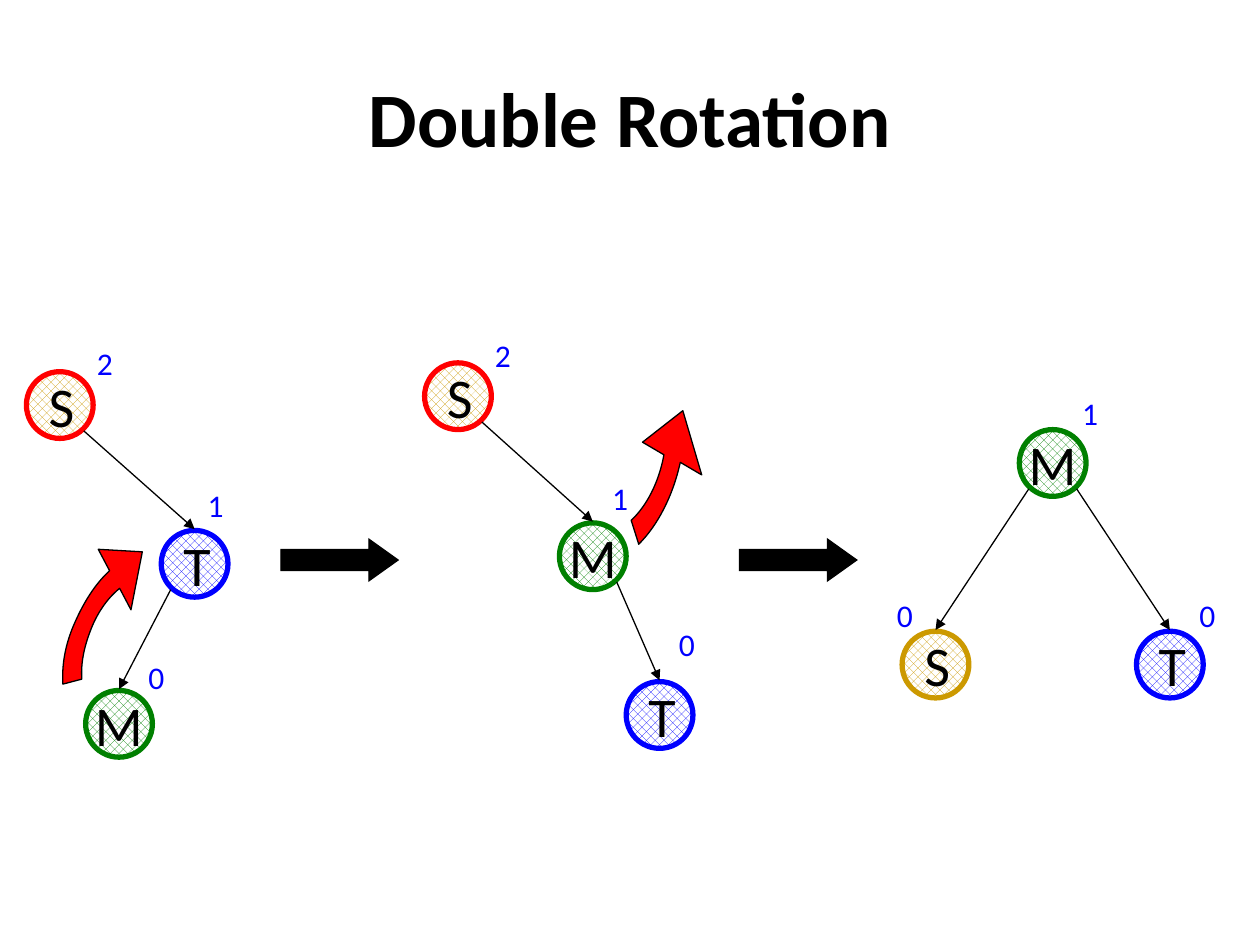
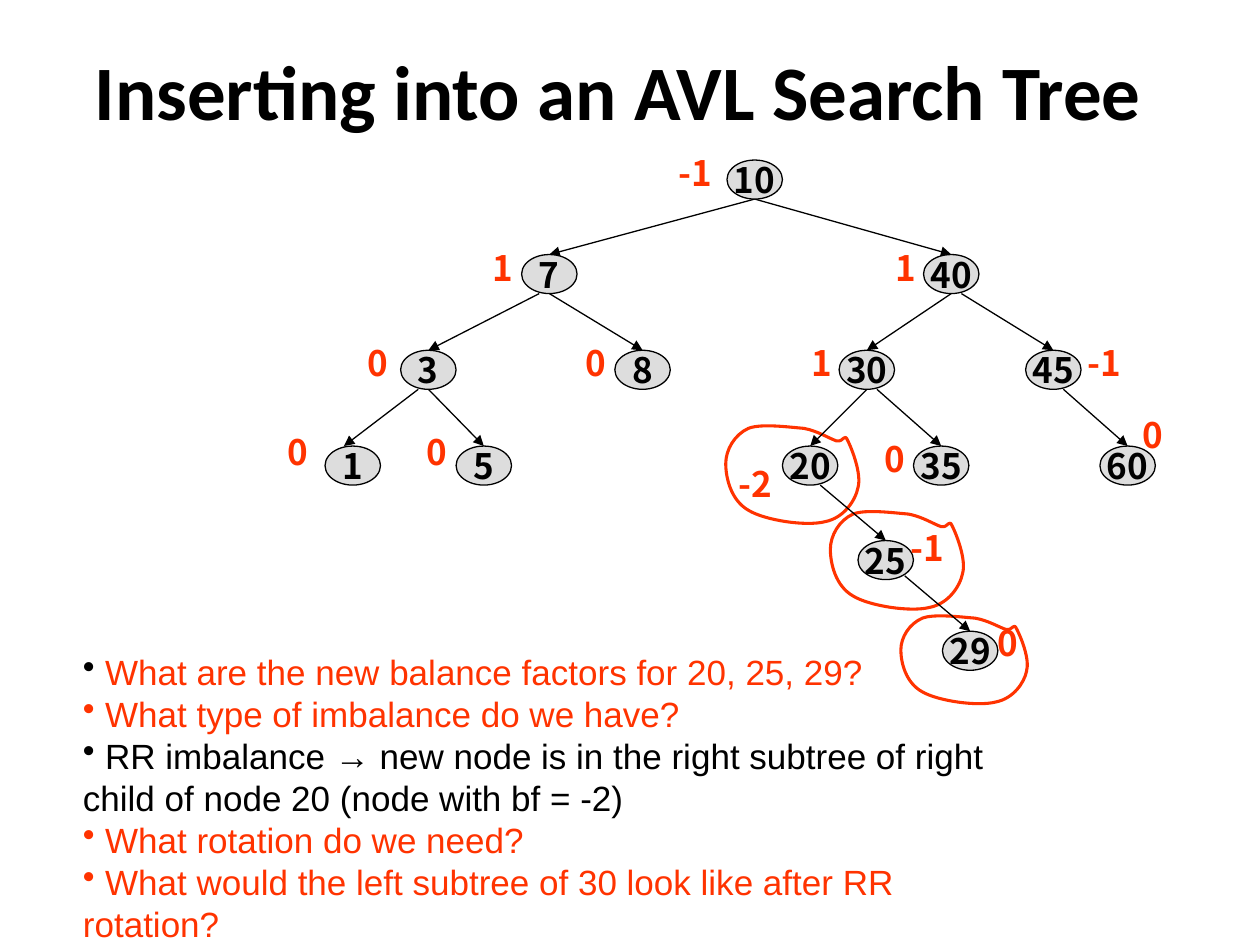
import math
from dataclasses import dataclass

import pptx
import pptx.dml.color
import pptx.enum.dml
import pptx.enum.shapes
import pptx.enum.text
import pptx.oxml
import pptx.oxml.ns
import pptx.util

Inches = pptx.util.Inches
ALIGN = pptx.enum.text.PP_ALIGN
SHAPE = pptx.enum.shapes.MSO_SHAPE


@dataclass(frozen=True)
class Theme:
    black: str = "000000"
    white: str = "FFFFFF"
    red: str = "FF0000"
    green: str = "008000"
    blue: str = "0000FF"
    gold: str = "CC9900"
    gray: str = "DDDDDD"
    accent: str = "FF3300"
    heading_font: str = "Calibri"
    body_font: str = "Arial"
    tree_font: str = "Noto Sans CJK KR"
    title_size: int = 44
    letter_size: int = 32
    factor_size: int = 18
    tree_size: int = 20
    thin: float = 0.75
    loop: float = 1.75
    ring: float = 3


THEME = Theme()

ROTATION_TITLE = ("Double Rotation", (0.5, 0.3, 9, 1.25))
CIRCLE = 0.53
LETTER_STYLES = {
    "S": (THEME.gold, ALIGN.LEFT),
    "T": (THEME.blue, ALIGN.LEFT),
    "M": (THEME.green, ALIGN.CENTER),
}
STAGES = [
    {
        "nodes": {"S": (0.21, 2.95), "T": (1.28, 4.21), "M": (0.68, 5.48)},
        "edges": ["ST", "TM"],
        "factors": [("2", 0.67, 2.68), ("1", 1.55, 3.81), ("0", 1.08, 5.17)],
        "unbalanced": "S",
    },
    {
        "nodes": {"S": (3.37, 2.88), "M": (4.44, 4.15), "T": (4.97, 5.41)},
        "edges": ["SM", "MT"],
        "factors": [("2", 3.83, 2.62), ("1", 4.76, 3.75), ("0", 5.29, 4.91)],
        "unbalanced": "S",
    },
    {
        "nodes": {"M": (8.09, 3.41), "S": (7.16, 5.01), "T": (9.02, 5.01)},
        "edges": ["MS", "MT"],
        "factors": [("1", 8.49, 3.08), ("0", 7.02, 4.68), ("0", 9.42, 4.68)],
        "unbalanced": "",
    },
]
STAGE_ARROWS = [(2.23, 4.28, 0.93, 0.33), (5.87, 4.28, 0.93, 0.33)]
ROTATION_ARROWS = [
    ((0.54, 4.27, 1.41, 1.89), 22.2,
     [(0.95, 4.67), (0.85, 4.75, 0.77, 4.87, 0.72, 5), (0.67, 5.13, 0.64, 5.26, 0.65, 5.39),
      (0.5, 5.43), (0.49, 5.27, 0.52, 5.11, 0.59, 4.95), (0.66, 4.79, 0.75, 4.64, 0.87, 4.53),
      (0.78, 4.36), (1.13, 4.38), (1.04, 4.84)]),
    ((3.97, 2.08, 1.46, 2.4), 0,
     [(5.27, 3.61), (5.23, 3.83, 5.13, 4.02, 5.01, 4.13), (5.07, 4.32),
      (5.22, 4.17, 5.34, 3.94, 5.4, 3.67), (5.57, 3.77), (5.42, 3.26), (5.1, 3.51)]),
]

TREE_TITLE = ("Inserting into an AVL Search Tree", (0.41, 0.27, 9, 0.88))
QUESTIONS_BOX = (0.56, 5.11, 7.78, 2.12)
QUESTIONS = [
    ("What are the new balance factors for 20, 25, 29?", THEME.accent, THEME.black),
    ("What type of imbalance do we have?", THEME.accent, THEME.accent),
    ("RR imbalance → new node is in the right subtree of right child of node 20 (node with bf = -2)",
     THEME.black, THEME.black),
    ("What rotation do we need?", THEME.accent, THEME.accent),
    ("What would the left subtree of 30 look like after RR rotation?", THEME.accent, THEME.accent),
]
OVAL = (0.44, 0.31)
LEVEL_TOPS = [1.27, 2.02, 2.78, 3.54, 4.29, 5.01]
TREE_NODES = {
    10: (5.99, 0, "-1", 5.29, 1.15),
    7: (4.36, 1, "1", 3.81, 1.91),
    40: (7.55, 1, "1", 7.01, 1.91),
    3: (3.4, 2, "0", 2.82, 2.66),
    8: (5.1, 2, "0", 4.55, 2.66),
    30: (6.88, 2, "1", 6.34, 2.66),
    45: (8.36, 2, "-1", 8.53, 2.66),
    1: (2.8, 3, "0", 2.18, 3.37),
    5: (3.84, 3, "0", 3.29, 3.37),
    20: (6.43, 3, "-2", 5.76, 3.62),
    35: (7.47, 3, "0", 6.92, 3.42),
    60: (8.95, 3, "0", 8.97, 3.23),
    25: (7.03, 4, "-1", 7.13, 4.13),
    29: (7.7, 5, "0", 7.82, 4.88),
}
TREE_EDGES = [
    (10, 7, 0, 0), (10, 40, 0, 0), (7, 3, -0.08, 0), (7, 8, 0, 0),
    (40, 30, 0, 0), (40, 45, 0.08, 0), (3, 1, -0.08, -0.07), (3, 5, 0, 0),
    (30, 20, 0, 0), (30, 35, 0.08, 0), (45, 60, 0.08, 0),
    (20, 25, 0.08, 0), (25, 29, 0.15, 0),
]
LOOP = [
    (0.62, 0.04), (0.5, 0.03, 0.28, 0, 0.18, 0.04), (0.07, 0.09, 0, 0.21, 0, 0.32),
    (0, 0.43, 0.04, 0.61, 0.18, 0.69), (0.31, 0.77, 0.64, 0.82, 0.79, 0.78),
    (0.94, 0.75, 1.03, 0.61, 1.05, 0.51), (1.08, 0.4, 1, 0.2, 0.97, 0.14),
    (0.94, 0.07, 0.94, 0.15, 0.88, 0.14), (0.82, 0.12, 0.73, 0.06, 0.62, 0.04),
]
LOOP_SIZE = (1.08, 0.82)
LOOP_PLACES = [(5.76, 3.36, 1, 1), (6.59, 4.04, 1, 1), (7.15, 4.87, 0.95, 0.9)]


def rgb(color):
    return pptx.dml.color.RGBColor.from_string(color)


def inches(values):
    return [Inches(value) for value in values]


def add_element(parent, tag, content=""):
    namespace = pptx.oxml.ns.nsdecls("a")
    parent.append(pptx.oxml.parse_xml(f"<a:{tag} {namespace}>{content}</a:{tag}>"))


def style_text(shape, text, font, size, color, bold=False, align=ALIGN.LEFT, middle=False, wrap=False):
    frame = shape.text_frame
    frame.text = text
    frame.word_wrap = wrap
    anchor = pptx.enum.text.MSO_ANCHOR
    frame.vertical_anchor = anchor.MIDDLE if middle else anchor.TOP
    for paragraph in frame.paragraphs:
        paragraph.alignment = align
        for run in paragraph.runs:
            run.font.name = font
            run.font.size = pptx.util.Pt(size)
            run.font.bold = bold
            run.font.color.rgb = rgb(color)


def add_text(slide, box, text, *style, **options):
    shape = slide.shapes.add_textbox(*inches(box))
    style_text(shape, text, *style, **options)
    return shape


def paint(shape, fill, line, width):
    shape.shadow.inherit = False
    if fill:
        shape.fill.solid()
        shape.fill.fore_color.rgb = rgb(fill)
    else:
        shape.fill.background()
    shape.line.color.rgb = rgb(line)
    shape.line.width = pptx.util.Pt(width)


def add_shape(slide, kind, box, fill, line=THEME.black, width=THEME.thin):
    shape = slide.shapes.add_shape(kind, *inches(box))
    paint(shape, fill, line, width)
    return shape


def add_edge(slide, start, end):
    straight = pptx.enum.shapes.MSO_CONNECTOR.STRAIGHT
    connector = slide.shapes.add_connector(straight, *inches(start + end))
    connector.line.color.rgb = rgb(THEME.black)
    connector.line.width = pptx.util.Pt(THEME.thin)
    line = connector.line._get_or_add_ln()
    add_element(line, "tailEnd")
    line[-1].set("type", "triangle")
    add_element(connector._element.spPr, "effectLst")


def local_point(x, y, box, rotation):
    left, top, width, height = box
    angle = math.radians(-rotation)
    across, down = x - left - width / 2, y - top - height / 2
    return (width / 2 + across * math.cos(angle) - down * math.sin(angle),
            height / 2 + across * math.sin(angle) + down * math.cos(angle))


def add_outline(slide, box, rotation, outline, fill, line, width):
    left, top, box_width, box_height = box
    right, bottom = left + box_width, top + box_height
    corners = [inches(corner) for corner in ((right, top), (right, bottom), (left, bottom))]
    builder = slide.shapes.build_freeform(*inches((left, top)))
    builder.add_line_segments(corners, close=True)
    shape = builder.convert_to_shape()
    shape.rotation = rotation
    paint(shape, fill, line, width)
    path = shape._element.spPr.find(".//" + pptx.oxml.ns.qn("a:path"))
    for child in list(path):
        path.remove(child)
    for index, part in enumerate(outline):
        tag = "moveTo" if index == 0 else "lnTo" if len(part) == 2 else "cubicBezTo"
        points = [inches(local_point(x, y, box, rotation)) for x, y in zip(part[::2], part[1::2])]
        add_element(path, tag, "".join(f'<a:pt x="{int(x)}" y="{int(y)}"/>' for x, y in points))
    add_element(path, "close")


def add_loop(slide, left, top, scale_x, scale_y):
    box = (left, top, LOOP_SIZE[0] * scale_x, LOOP_SIZE[1] * scale_y)
    outline = [
        [top + value * scale_y if index % 2 else left + value * scale_x for index, value in enumerate(part)]
        for part in LOOP
    ]
    add_outline(slide, box, 0, outline, None, THEME.accent, THEME.loop)


def add_titled_slide(presentation, title, box):
    slide = presentation.slides.add_slide(presentation.slide_layouts[6])
    add_text(slide, box, title, THEME.heading_font, THEME.title_size, THEME.black,
             bold=True, align=ALIGN.CENTER, middle=True, wrap=True)
    return slide


def add_letter_node(slide, letter, position, unbalanced):
    color, align = LETTER_STYLES[letter]
    ring = THEME.red if unbalanced else color
    shape = add_shape(slide, SHAPE.OVAL, position + (CIRCLE, CIRCLE), color, ring, THEME.ring)
    shape.fill.patterned()
    shape.fill.pattern = pptx.enum.dml.MSO_PATTERN.PERCENT_50
    shape.fill.fore_color.rgb = rgb(color)
    shape.fill.back_color.rgb = rgb(THEME.white)
    style_text(shape, letter, THEME.heading_font, THEME.letter_size, THEME.black, align=align, middle=True)


def build_rotation_slide(presentation):
    slide = add_titled_slide(presentation, *ROTATION_TITLE)
    for box, rotation, outline in ROTATION_ARROWS:
        add_outline(slide, box, rotation, outline, THEME.red, THEME.black, THEME.thin)
    for box in STAGE_ARROWS:
        arrow = add_shape(slide, SHAPE.RIGHT_ARROW, box, THEME.black)
        arrow.adjustments[1] = 0.7
        add_element(arrow.line._get_or_add_ln(), "miter")
    for stage in STAGES:
        nodes = stage["nodes"]
        for letter, position in nodes.items():
            add_letter_node(slide, letter, position, letter == stage["unbalanced"])
        for parent, child in stage["edges"]:
            (left, top), (child_left, child_top) = nodes[parent], nodes[child]
            side = 0.19 if child_left > left else -0.19
            add_edge(slide, (left + CIRCLE / 2 + side, top + 0.47), (child_left + CIRCLE / 2, child_top - 0.01))
        for factor, left, top in stage["factors"]:
            add_text(slide, (left, top, 0.37, 0.5), factor, THEME.heading_font, THEME.factor_size, THEME.blue)


def add_questions(slide):
    text = "\n".join(f" {question}" for question, _, _ in QUESTIONS)
    shape = add_text(slide, QUESTIONS_BOX, text, THEME.body_font, THEME.tree_size, THEME.black, wrap=True)
    for paragraph, (_, color, bullet_color) in zip(shape.text_frame.paragraphs, QUESTIONS):
        paragraph.runs[0].font.color.rgb = rgb(color)
        properties = paragraph._p.get_or_add_pPr()
        add_element(properties, "buClr", f'<a:srgbClr val="{bullet_color}"/>')
        add_element(properties, "buChar")
        properties[-1].set("char", "•")


def build_tree_slide(presentation):
    slide = add_titled_slide(presentation, *TREE_TITLE)
    add_questions(slide)
    for place in LOOP_PLACES:
        add_loop(slide, *place)
    width, height = OVAL
    for parent, child, start_shift, end_shift in TREE_EDGES:
        center, level = TREE_NODES[parent][:2]
        child_center, child_level = TREE_NODES[child][:2]
        lift = 0.03 if start_shift == 0.15 else 0
        add_edge(slide, (center + start_shift, LEVEL_TOPS[level] + height - lift),
                 (child_center + end_shift, LEVEL_TOPS[child_level]))
    for value, (center, level, factor, left, top) in TREE_NODES.items():
        box = (center - width / 2, LEVEL_TOPS[level], width, height)
        oval = add_shape(slide, SHAPE.OVAL, box, THEME.gray)
        style_text(oval, str(value), THEME.tree_font, THEME.tree_size, THEME.black,
                   bold=True, align=ALIGN.CENTER, middle=True)
        factor_width = 0.53 if len(factor) > 1 else 0.36
        add_text(slide, (left, top, factor_width, 0.43), factor,
                 THEME.tree_font, THEME.tree_size, THEME.accent, bold=True)


def main():
    presentation = pptx.Presentation()
    presentation.slide_width = Inches(10)
    presentation.slide_height = Inches(7.5)
    build_rotation_slide(presentation)
    build_tree_slide(presentation)
    presentation.save("out.pptx")


if __name__ == "__main__":
    main()
